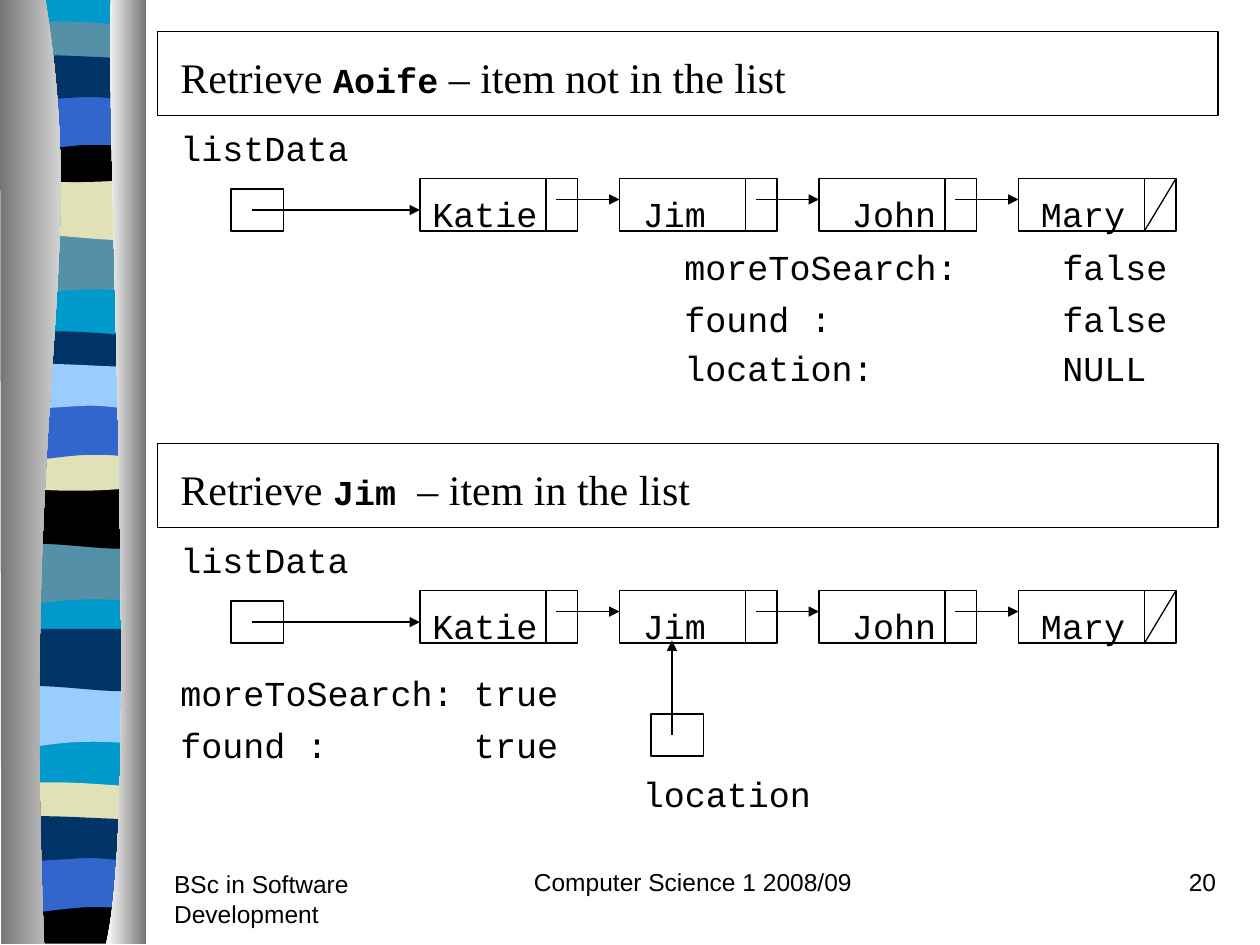
from dataclasses import dataclass

from lxml import etree
from pptx import Presentation
from pptx.dml.color import RGBColor
from pptx.enum.shapes import MSO_CONNECTOR, MSO_SHAPE
from pptx.enum.text import PP_ALIGN
from pptx.oxml.ns import qn
from pptx.util import Inches, Pt

RECT, LINE = MSO_SHAPE.RECTANGLE, MSO_CONNECTOR.STRAIGHT
LEFT, MID, RIGHT = PP_ALIGN.LEFT, PP_ALIGN.CENTER, PP_ALIGN.RIGHT


@dataclass(frozen=True)
class Theme:
    ink: str = "000000"
    blue: str = "3366CC"
    navy: str = "003366"
    teal: str = "0099CC"
    slate: str = "5490A8"
    cream: str = "E1E1B7"
    sky: str = "99CCFF"
    gray: str = "767676"
    white: str = "FFFFFF"
    serif: str = "Times New Roman"
    mono: str = "Courier New"
    sans: str = "Arial"
    head: float = 24
    code: float = 20
    foot: float = 14
    rule: float = 0.75


T = Theme()
WIDE, HIGH = 120, 90  # grid of twelfths of an inch

# Ribbon outlines in inches: pairs are corners, sixes are curves
WAVES = {
    "sheet": [(1.08, 0), (1.08, .47), (.33, .39, .18, .55, 0, .47), (0, 0)],
    "fold": [(1.08, 0), (1.08, .47), (.9, .55, .33, .41, 0, .47), (0, 0)],
    "lens": [(1.08, .05), (1.08, .29), (.9, .33, .18, .33, 0, .29), (0, .05),
             (.06, 0, .23, .01, .41, .01), (.59, .01, .94, .04, 1.08, .05)],
    "bowl": [(1.08, 0), (1.08, .32), (.9, .38, .18, .38, 0, .32), (0, 0),
             (.66, .05, .85, 0, 1.08, 0)],
    "drape": [(1.08, 0), (1.08, .47), (.91, .41, .84, .41, .66, .41),
              (.48, .41, .16, .47, 0, .47), (0, 0)],
    "swell": [(1.08, .05), (1.08, .36), (1.01, .41, .84, .36, .66, .36),
              (.48, .36, .11, .41, 0, .36), (0, .05),
              (.15, 0, .73, .05, .91, .05)],
    "base": [(0, 0), (1.08, 0), (1.08, 7.47), (0, 7.47)],
    "end": [(1.08, 0), (1.08, .37), (0, .37), (0, 0),
            (.66, .05, .85, 0, 1.08, 0)],
}
BANDS = [
    ("base", 0, T.teal), ("sheet", 1.85, T.slate), ("fold", 1.41, T.cream),
    ("lens", .16, T.slate), ("bowl", 1.08, T.ink), ("drape", .74, T.blue),
    ("swell", .41, T.navy), ("sheet", 4.31, T.slate), ("fold", 3.86, T.ink),
    ("lens", 2.62, T.navy), ("bowl", 3.53, T.cream), ("drape", 3.2, T.blue),
    ("swell", 2.86, T.sky), ("sheet", 5.44, T.sky), ("fold", 4.99, T.navy),
    ("lens", 6.2, T.cream), ("end", 7.12, T.ink), ("drape", 6.79, T.blue),
    ("swell", 6.45, T.navy),
]
POSTS = [
    ([(.36, 0), (.71, 2.16, .17, 2.96, .35, 7.49), (.01, 7.49), (0, 0)],
     (T.gray, T.white)),
    ([(.88, 0), (.84, 1.25, 1.11, 6.46, .84, 7.49), (1.16, 7.49), (1.16, 0)],
     (T.white, T.gray)),
]

# Tab stops, in inches from the text edge
NAMES = (2, 3.67, 5.33, 6.83)
STATE = (4, 7)
FLAGS = (2.33,)
SPOT = (3.67,)


def rgb(code):
    return RGBColor.from_string(code)


def cell(n):
    return Inches(n / 12)


def bend(form, steps):
    """Join the three segments of each six-number step into one curve."""
    parts = iter(list(form._element.iter(qn("a:lnTo"))))
    for step in steps[1:]:
        first = next(parts)
        if len(step) == 6:
            first.tag = qn("a:cubicBezTo")
            for part in (next(parts), next(parts)):
                first.append(part[0])
                part.getparent().remove(part)


def blob(slide, steps, fill, left=0, top=0):
    pts = [(Inches(left + x), Inches(top + y))
           for step in steps for x, y in zip(step[::2], step[1::2])]
    pen = slide.shapes.build_freeform(*pts[0])
    pen.add_line_segments(pts[1:], close=True)
    form = pen.convert_to_shape()
    bend(form, steps)
    form.shadow.inherit = False
    form.line.fill.background()
    if isinstance(fill, str):
        form.fill.solid()
        form.fill.fore_color.rgb = rgb(fill)
        return
    form.fill.gradient()
    form.fill.gradient_angle = 0
    for stop, code in zip(form.fill.gradient_stops, fill):
        stop.color.rgb = rgb(code)


def box(slide, x, y, w, h):
    rect = slide.shapes.add_shape(RECT, cell(x), cell(y), cell(w), cell(h))
    rect.shadow.inherit = False
    rect.fill.background()
    rect.line.color.rgb = rgb(T.ink)
    rect.line.width = Pt(T.rule)


def line(slide, x, y, to_x, to_y, arrow=False):
    link = slide.shapes.add_connector(
        LINE, cell(x), cell(y), cell(to_x), cell(to_y))
    link.line.color.rgb = rgb(T.ink)
    link.line.width = Pt(T.rule)
    if arrow:
        etree.SubElement(link.line._get_or_add_ln(), qn("a:tailEnd"),
                         type="triangle")
    etree.SubElement(link._element.spPr, qn("a:effectLst"))


def write(para, text, font=T.mono, size=T.code, bold=False, tabs=(),
          gap=None, lead=None, align=LEFT):
    """Add a run, with the paragraph format that goes with it."""
    para.alignment = align
    if gap is not None:
        para.space_before = Pt(gap)
    if lead:
        para.line_spacing = lead
    if tabs:
        stops = etree.SubElement(para._p.get_or_add_pPr(), qn("a:tabLst"))
        for pos in tabs:
            etree.SubElement(stops, qn("a:tab"), pos=str(Inches(pos)),
                             algn="l")
    run = para.add_run()
    run.text = text
    run.font.name, run.font.size, run.font.bold = font, Pt(size), bold
    run.font.color.rgb = rgb(T.ink)


def frame(slide, x, y, w, h):
    area = slide.shapes.add_textbox(cell(x), cell(y), cell(w), cell(h))
    area.text_frame.word_wrap = True
    return area.text_frame


def chain(slide, top, name, rest, rows):
    """Draw one search: title, variables and the linked list."""
    body = frame(slide, 16, top + 1.3, 99, 32)
    head = body.paragraphs[0]
    write(head, "Retrieve ", font=T.serif, size=T.head)
    write(head, name, bold=True)
    write(head, rest, font=T.serif, size=T.head)
    shared = [("listData", {}),
              ("\tKatie\tJim\tJohn\tMary", {"tabs": NAMES})]
    for text, style in shared + rows:
        write(body.add_paragraph(), text, **{"gap": 14, **style})

    # Title frame and list head
    box(slide, 15, top, 101, 8)
    box(slide, 22, top + 15, 5, 4)
    line(slide, 24, top + 17, 40, top + 17, arrow=True)

    # Nodes, with an arrow to the next or a closing slash
    y, end = top + 14, top + 19
    for i in range(4):
        x = 40 + 19 * i
        box(slide, x, y, 15, 5)
        line(slide, x + 12, y, x + 12, end)
        if i < 3:
            line(slide, x + 13, y + 2, x + 19, y + 2, arrow=True)
        else:
            line(slide, x + 15, y, x + 12, end)


def main():
    deck = Presentation()
    deck.slide_width, deck.slide_height = cell(WIDE), cell(HIGH)
    slide = deck.slides.add_slide(deck.slide_layouts[6])

    # Ribbon between two posts
    for wave, top, fill in BANDS:
        blob(slide, WAVES[wave], fill, left=.06, top=top)
    for steps, fill in POSTS:
        blob(slide, steps, fill)

    # Footer
    for text, x, y, w, align in (
            ("BSc in Software Development", 15.4, 82.2, 25, LEFT),
            ("Computer Science 1 2008/09", 47, 82, 38, MID),
            ("20", 92, 82, 25, RIGHT)):
        write(frame(slide, x, y, w, 6).paragraphs[0], text, font=T.sans,
              size=T.foot, align=align)

    # Item missing
    chain(slide, 3, "Aoife", " – item not in the list", [
        ("\tmoreToSearch:\tfalse", {"tabs": STATE, "gap": 6}),
        ("\tfound :\tfalse", {"tabs": STATE, "lead": .6}),
        ("\tlocation:\tNULL", {"tabs": STATE, "lead": .6})])

    # Item present, with its location pointer
    low = 42.25
    chain(slide, low, "Jim ", "– item in the list", [
        ("moreToSearch:\ttrue", {"tabs": FLAGS}),
        ("found :\ttrue", {"tabs": FLAGS, "lead": .6}),
        ("\tlocation", {"tabs": SPOT, "lead": .6})])
    box(slide, 62, low + 25.75, 5, 4)
    line(slide, 64, low + 27.75, 64, low + 18.75, arrow=True)

    deck.save("out.pptx")


if __name__ == "__main__":
    main()
